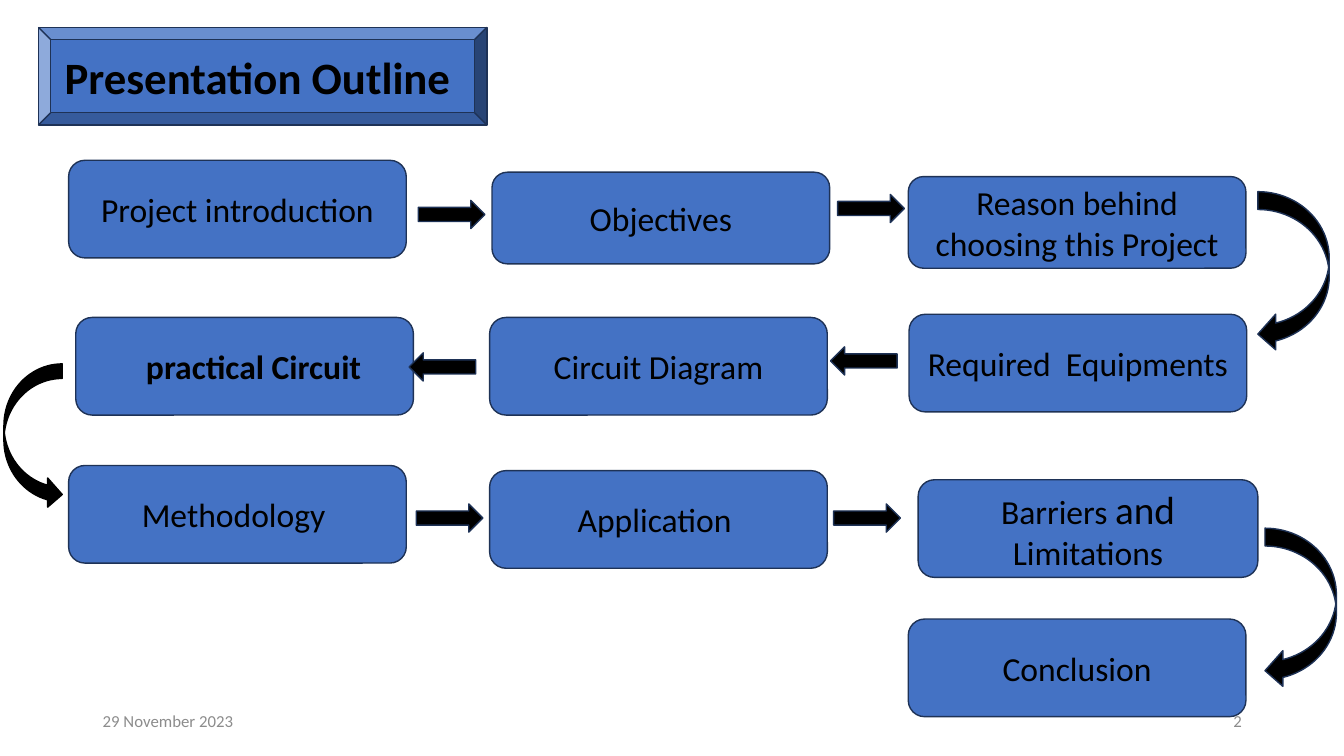
"""Builds the presentation outline slide: ten steps joined by block arrows."""
from pptx import Presentation
from pptx.dml.color import RGBColor
from pptx.enum.shapes import MSO_SHAPE
from pptx.enum.text import MSO_ANCHOR, PP_ALIGN
from pptx.util import Cm, Pt

COLORS = {"blue": "4472C4", "outline": "1E3256", "black": "000000", "grey": "8C8C8C"}


def add_block(kind, left, top, width, height, fill, line="outline"):
    """Add a filled preset shape with a thin outline."""
    block = page.shapes.add_shape(kind, Cm(left), Cm(top), Cm(width), Cm(height))
    block.shadow.inherit = False
    block.fill.solid()
    block.fill.fore_color.rgb = RGBColor.from_string(COLORS[fill])
    block.line.color.rgb = RGBColor.from_string(COLORS[line])
    block.line.width = Pt(1)
    return block


def write(box, pieces, color="black", align=PP_ALIGN.CENTER, bold=False):
    """Write one paragraph made of (text, size) pieces, centred vertically."""
    frame = box.text_frame
    frame.word_wrap = True
    frame.vertical_anchor = MSO_ANCHOR.MIDDLE
    para = frame.paragraphs[0]
    para.alignment = align
    for text, size in pieces:
        span = para.add_run()
        span.text = text
        span.font.name = "Calibri"
        span.font.size = Pt(size)
        span.font.bold = bold
        span.font.color.rgb = RGBColor.from_string(COLORS[color])


deck = Presentation()
deck.slide_width, deck.slide_height = Cm(33.87), Cm(19.05)
page = deck.slides.add_slide(deck.slide_layouts[6])

title = add_block(MSO_SHAPE.BEVEL, 0.97, 0.69, 11.3, 2.46, "blue")
write(title, [("Presentation Outline ", 32)], bold=True)

steps = [
    (1.73, 4.04, 8.51, 2.46, [("Project introduction", 24)]),
    (12.4, 4.34, 8.51, 2.31, [("Objectives", 24)]),
    (22.89, 4.45, 8.51, 2.31, [("Reason behind choosing this Project", 24)]),
    (22.91, 7.92, 8.51, 2.46, [("Required  Equipments", 24)]),
    (12.34, 8, 8.51, 2.46, [("Circuit Diagram", 24)]),
    (1.73, 11.73, 8.51, 2.46, [("Methodology ", 24)]),
    (12.34, 11.86, 8.51, 2.46, [("Application ", 24)]),
    (23.14, 12.09, 8.56, 2.46, [("Barriers ", 24), ("and", 28), (" Limitations", 24)]),
    (22.89, 15.6, 8.51, 2.46, [("Conclusion", 24)]),
]
for left, top, width, height, pieces in steps:
    write(add_block(MSO_SHAPE.ROUNDED_RECTANGLE, left, top, width, height, "blue"), pieces)

circuit = add_block(MSO_SHAPE.ROUNDED_RECTANGLE, 1.91, 8, 8.51, 2.46, "blue")
write(circuit, [("practical Circuit", 24)], align=PP_ALIGN.LEFT, bold=True)
circuit.text_frame.margin_left = Cm(1.65)

straight_arrows = [
    (10.54, 5.05, 0),
    (21.11, 4.9, 0),
    (20.93, 8.74, 180),
    (10.31, 8.89, 180),
    (10.49, 12.7, 0),
    (21.01, 12.7, 0),
]
for left, top, rotation in straight_arrows:
    arrow = add_block(MSO_SHAPE.RIGHT_ARROW, left, top, 1.68, 0.71, "black")
    arrow.rotation = rotation

for left, top in [(31.7, 4.83), (31.88, 13.31)]:
    add_block(MSO_SHAPE.CURVED_LEFT_ARROW, left, top, 1.8, 4.04, "black")
add_block(MSO_SHAPE.CURVED_RIGHT_ARROW, 0.1, 9.17, 1.47, 3.66, "black", "black")

footers = [(2.34, "29 November 2023", PP_ALIGN.LEFT), (23.93, "2", PP_ALIGN.RIGHT)]
for left, text, align in footers:
    footer = page.shapes.add_textbox(Cm(left), Cm(17.65), Cm(7.62), Cm(1.02))
    write(footer, [(text, 12)], "grey", align)

deck.save("out.pptx")
